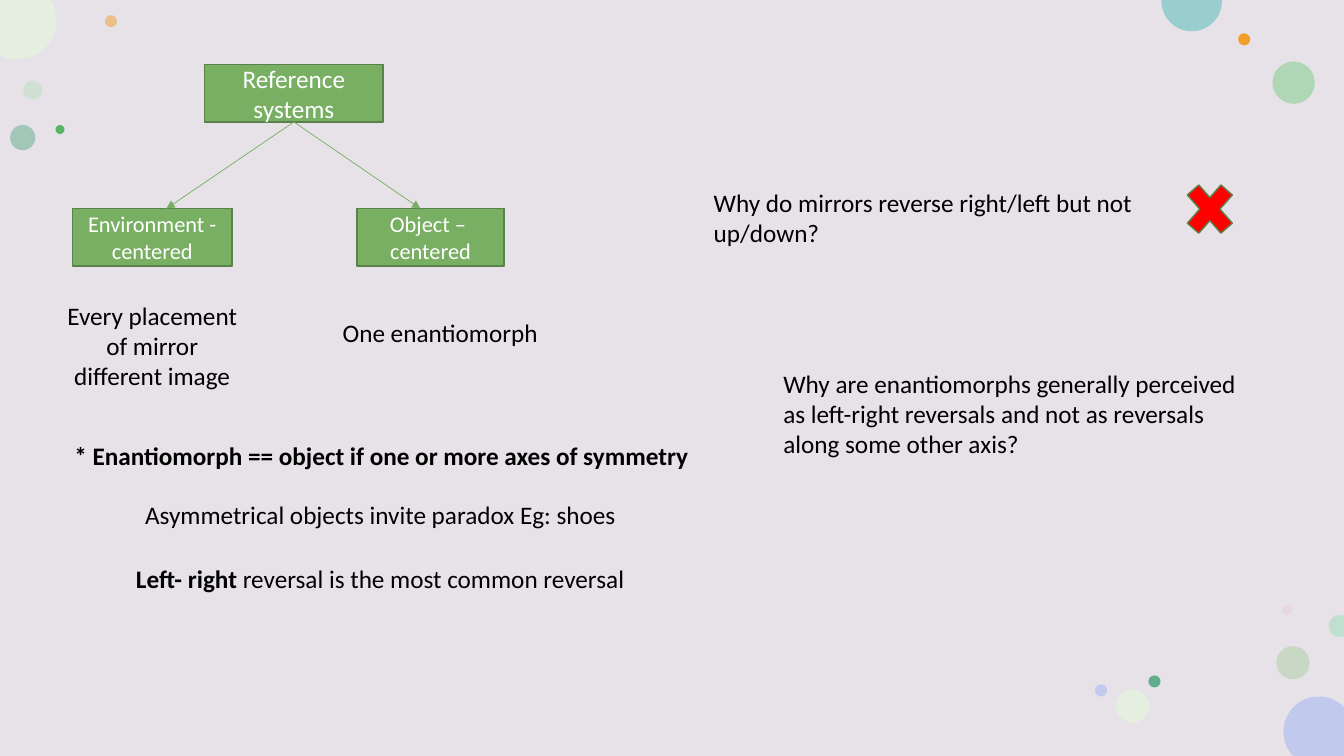
import math
from dataclasses import dataclass

import pptx
import pptx.dml.color
import pptx.enum.shapes
import pptx.enum.text
import pptx.oxml.ns
import pptx.util
from lxml import etree

Inches = pptx.util.Inches
Pt = pptx.util.Pt
Shape = pptx.enum.shapes.MSO_SHAPE
Align = pptx.enum.text.PP_ALIGN
qn = pptx.oxml.ns.qn
WIDE, HIGH = 13.33, 7.5


@dataclass(frozen=True)
class Theme:
    back: str = "E6E2E8"
    green: str = "78AF63"
    edge: str = "598149"
    cross: str = "FF0000"
    light: str = "FFFFFF"
    dark: str = "000000"
    font: str = "Calibri"
    body: int = 18
    small: int = 16
    rim: float = 1
    thin: float = 0.5


THEME = Theme()

DOTS = [
    (0.23, 0.8, 0.19, "BBE1C1", 50),
    (1.04, 0.15, 0.12, "F39E29", 50),
    (12.66, 6.41, 0.33, "AECFA1", 50),
    (0.1, 1.24, 0.25, "5FAE8C", 50),
    (12.62, 0.61, 0.42, "9AD3A2", 72),
    (12.28, 0.33, 0.12, "F39E29", 100),
    (12.72, 6, 0.1, "E3BEBE", 28),
    (11.39, 6.7, 0.12, "5FAE8C", 100),
    (11.07, 6.84, 0.33, "E4EFE0", 100),
    (10.86, 6.79, 0.12, "C1CAEE", 100),
    (0.55, 1.24, 0.09, "56B564", 100),
]

CUTS = [
    (13.08, 7.26, 0.35, "C1CAEE", 137, 316, [(WIDE, HIGH)]),
    (0.17, 0.2, 0.39, "E4EFE0", -31, 116, [(0, 0)]),
    (11.82, 0.01, 0.3, "98CFCE", -2, 182, []),
    (13.29, 6.21, 0.11, "BFDFD1", 69, 291, []),
]


def rgb(code):
    return pptx.dml.color.RGBColor.from_string(code)


def paint(shape, fill, line=None, alpha=100):
    shape.shadow.inherit = False
    shape.fill.solid()
    shape.fill.fore_color.rgb = rgb(fill)
    if alpha < 100:
        tint = next(shape.element.iter(qn("a:srgbClr")))
        etree.SubElement(tint, qn("a:alpha")).set("val", str(alpha * 1000))
    if line:
        shape.line.color.rgb = rgb(line)
        shape.line.width = Pt(THEME.rim)
    else:
        shape.line.fill.background()


def write(frame, text, size, color, align, bold=""):
    frame.text = text
    for para in frame.paragraphs:
        para.alignment = align
        if bold and bold != text:
            para.text = bold
            para.add_run().text = text[len(bold):]
        for run in para.runs:
            run.font.name = THEME.font
            run.font.size = Pt(size)
            run.font.color.rgb = rgb(color)
            run.font.bold = run.text == bold


def add_shape(slide, kind, box):
    return slide.shapes.add_shape(kind, *map(Inches, box))


def add_node(slide, box, text, size):
    node = add_shape(slide, Shape.RECTANGLE, box)
    paint(node, THEME.green, THEME.edge)
    node.text_frame.word_wrap = True
    node.text_frame.vertical_anchor = pptx.enum.text.MSO_ANCHOR.MIDDLE
    write(node.text_frame, text, size, THEME.light, Align.CENTER)
    return node


def add_note(slide, box, text, align=Align.LEFT, bold="", wrap=True):
    frame = slide.shapes.add_textbox(*map(Inches, box)).text_frame
    frame.word_wrap = wrap
    frame.auto_size = pptx.enum.text.MSO_AUTO_SIZE.SHAPE_TO_FIT_TEXT
    write(frame, text, THEME.body, THEME.dark, align, bold)


def add_arrow(slide, root, x, y):
    arrow = slide.shapes.add_connector(
        pptx.enum.shapes.MSO_CONNECTOR.STRAIGHT, 0, 0, Inches(x), Inches(y))
    arrow.begin_connect(root, 2)
    arrow.line.color.rgb = rgb(THEME.green)
    arrow.line.width = Pt(THEME.thin)
    props = arrow.element.spPr
    line = props.find(qn("a:ln"))
    etree.SubElement(line, qn("a:tailEnd")).set("type", "triangle")
    etree.SubElement(props, qn("a:effectLst"))


def add_cut(slide, x, y, radius, color, start, end, corners):
    def spot(angle, pull=0):
        cos, sin = math.cos(angle), math.sin(angle)
        across = min(max(x + radius * (cos - pull * sin), 0), WIDE)
        down = min(max(y + radius * (sin + pull * cos), 0), HIGH)
        return Inches(across), Inches(down)

    turns = [turn for turn in range(0, 360, 90) if start < turn < end]
    angles = [math.radians(turn) for turn in (start, *turns, end)]
    first, *others = [spot(angle) for angle in angles]
    others += [(Inches(across), Inches(down)) for across, down in corners]
    outline = slide.shapes.build_freeform(*first)
    outline.add_line_segments(others, close=True)
    shape = outline.convert_to_shape()
    edges = list(shape.element.iter(qn("a:lnTo")))
    for edge, one, two in zip(edges, angles, angles[1:]):
        pull = 4 / 3 * math.tan((two - one) / 4)
        edge.tag = qn("a:cubicBezTo")
        for place, (across, down) in enumerate((spot(one, pull), spot(two, -pull))):
            point = etree.Element(qn("a:pt"))
            point.set("x", str(across - shape.left))
            point.set("y", str(down - shape.top))
            edge.insert(place, point)
    paint(shape, color)


def draw_back(slide):
    paint(add_shape(slide, Shape.RECTANGLE, (0, 0, WIDE, HIGH)), THEME.back)
    for x, y, size, color, alpha in DOTS:
        paint(add_shape(slide, Shape.OVAL, (x, y, size, size)), color, alpha=alpha)
    for cut in CUTS:
        add_cut(slide, *cut)


def draw_tree(slide, x, y):
    tall, drop = 0.57, 1.43
    root = add_node(slide, (x + 1.31, y, 1.77, tall), "Reference systems", THEME.body)
    add_node(slide, (x, y + drop, 1.58, tall), "Environment - centered", THEME.small)
    add_node(slide, (x + 2.82, y + drop, 1.46, tall), "Object – \ncentered", THEME.small)
    for shift in (-1.26, 1.26):
        add_arrow(slide, root, x + 2.19 + shift, y + drop)
    add_note(slide, (x - 0.21, y + 2.29, 2, 1.01),
             "Every placement of mirror different image", Align.CENTER)
    add_note(slide, (x + 2.58, y + 2.46, 2.29, 0.4), "One enantiomorph")


def draw_facts(slide, x, y):
    fact = "* Enantiomorph == object if one or more axes of symmetry"
    add_note(slide, (x, y, 6.5, 0.4), fact, bold=fact)
    add_note(slide, (x + 0.7, y + 0.58, 4.92, 0.4),
             "Asymmetrical objects invite paradox Eg: shoes", wrap=False)
    add_note(slide, (x + 0.61, y + 1.22, 5.08, 0.4),
             "Left- right reversal is the most common reversal",
             bold="Left- right ", wrap=False)


def draw_asks(slide, x, y):
    add_note(slide, (x, y + 0.1, 4.45, 0.71),
             "Why do mirrors reverse right/left but not up/down?")
    add_note(slide, (x + 0.69, y + 1.89, 4.75, 1.01),
             "Why are enantiomorphs generally perceived as left-right reversals "
             "and not as reversals along some other axis?")
    cross = add_shape(slide, Shape.MATH_MULTIPLY, (x + 4.7, y, 0.64, 0.73))
    paint(cross, THEME.cross, THEME.edge)


def main():
    deck = pptx.Presentation()
    deck.slide_width = Inches(WIDE)
    deck.slide_height = Inches(HIGH)
    slide = deck.slides.add_slide(deck.slide_layouts[6])
    draw_back(slide)
    draw_tree(slide, 0.72, 0.64)
    draw_facts(slide, 0.64, 4.32)
    draw_asks(slide, 6.98, 1.71)
    deck.save("out.pptx")


if __name__ == "__main__":
    main()
